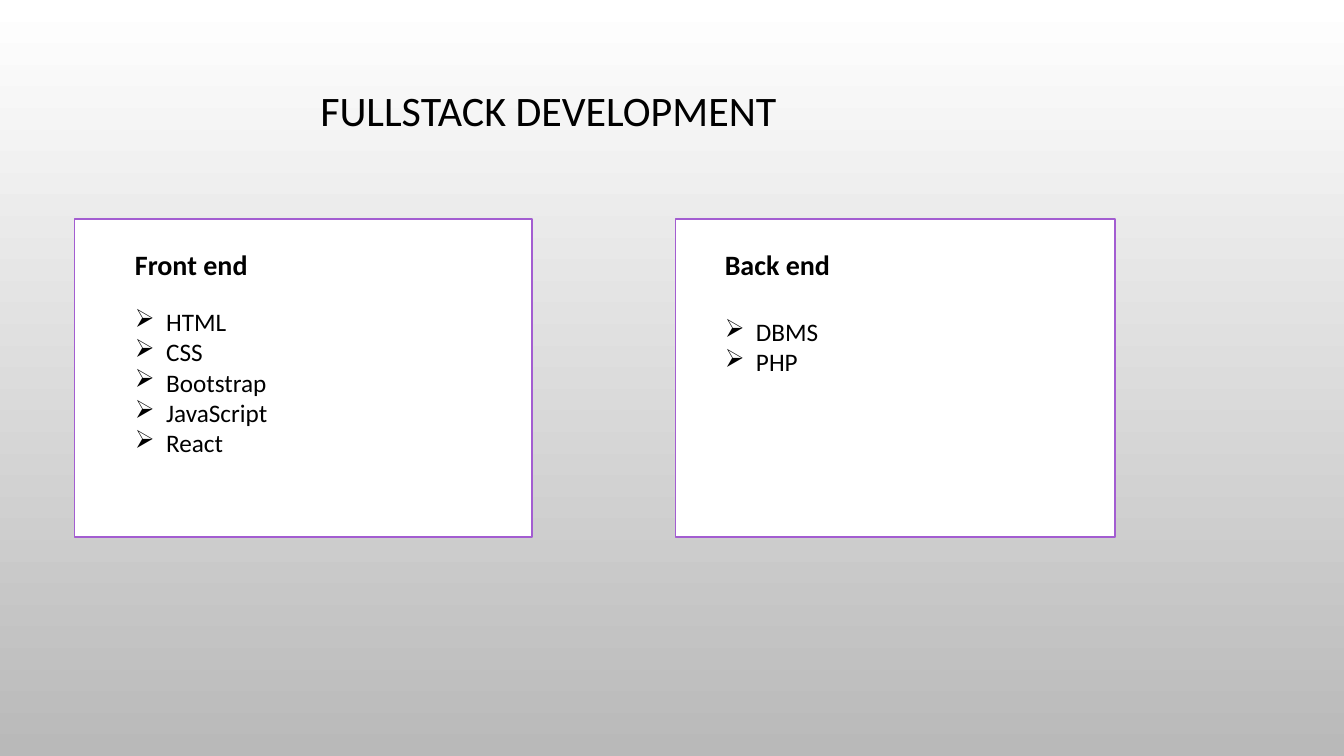
from lxml.etree import SubElement
from pptx import Presentation
from pptx.dml.color import RGBColor
from pptx.enum.shapes import MSO_SHAPE
from pptx.enum.text import MSO_ANCHOR, MSO_AUTO_SIZE, PP_ALIGN
from pptx.oxml.ns import qn
from pptx.util import Inches, Pt

BLACK = RGBColor(0x00, 0x00, 0x00)
WHITE = RGBColor(0xFF, 0xFF, 0xFF)
GREY = RGBColor(0xB9, 0xB9, 0xB9)
PURPLE = RGBColor(0xA3, 0x5D, 0xD1)


class Deck:
    face = "Calibri"
    indent = Inches(0.31)

    def __init__(self, prs):
        self.slide = prs.slides.add_slide(prs.slide_layouts[5])

    def shade(self, top, bottom):
        """Fill the background with a gradient running downwards."""
        fill = self.slide.background.fill
        fill.gradient()
        fill.gradient_angle = 270
        for stop, color in zip(fill.gradient_stops, (top, bottom)):
            stop.color.rgb = color

    def style(self, para, size, bold=False):
        font = para.font
        font.name, font.size, font.bold = self.face, Pt(size), bold
        font.color.rgb = BLACK

    def title(self, text, left, top, width, height):
        shape = self.slide.shapes.title
        shape.left, shape.top = Inches(left), Inches(top)
        shape.width, shape.height = Inches(width), Inches(height)
        frame = shape.text_frame
        frame.text = text
        frame.vertical_anchor = MSO_ANCHOR.MIDDLE
        para = frame.paragraphs[0]
        para.alignment = PP_ALIGN.CENTER
        para.line_spacing = 0.9
        self.style(para, 30)

    def panel(self, left, top, width, height):
        box = self.slide.shapes.add_shape(
            MSO_SHAPE.RECTANGLE, Inches(left), Inches(top),
            Inches(width), Inches(height))
        box.shadow.inherit = False
        box.fill.solid()
        box.fill.fore_color.rgb = WHITE
        box.line.color.rgb = PURPLE
        box.line.width = Pt(1.25)

    def text(self, lines, left, top, width, height, size,
             bold=False, listed=False):
        box = self.slide.shapes.add_textbox(
            Inches(left), Inches(top), Inches(width), Inches(height))
        frame = box.text_frame
        frame.word_wrap = True
        frame.auto_size = MSO_AUTO_SIZE.SHAPE_TO_FIT_TEXT
        frame.text = "\n".join(lines)
        for para in frame.paragraphs:
            if listed:
                self.bullet(para)
            self.style(para, size, bold)

    def bullet(self, para):
        props = para._p.get_or_add_pPr()
        props.set("marL", str(self.indent))
        props.set("indent", str(-self.indent))
        SubElement(props, qn("a:buChar")).set("char", "➢")


def main():
    prs = Presentation()
    prs.slide_width, prs.slide_height = Inches(13.33), Inches(7.5)
    deck = Deck(prs)
    deck.shade(WHITE, GREY)
    deck.title("FULLSTACK DEVELOPMENT", 0.74, 0.67, 9.4, 0.89)

    # panel left and width, text left and width, list top and height
    cards = [
        ("Front end", ["HTML", "CSS", "Bootstrap", "JavaScript", "React"],
         0.74, 4.54, 1.24, 2.34, 2.99, 1.62),
        ("Back end", ["DBMS", "PHP"],
         6.7, 4.36, 7.09, 2.76, 3.09, 0.71),
    ]
    for head, items, left, width, start, span, top, height in cards:
        deck.panel(left, 2.17, width, 3.16)
        deck.text([head], start, 2.41, span, 0.44, 20, bold=True)
        deck.text(items, start, top, span, height, 18, listed=True)
    prs.save("out.pptx")


if __name__ == "__main__":
    main()
